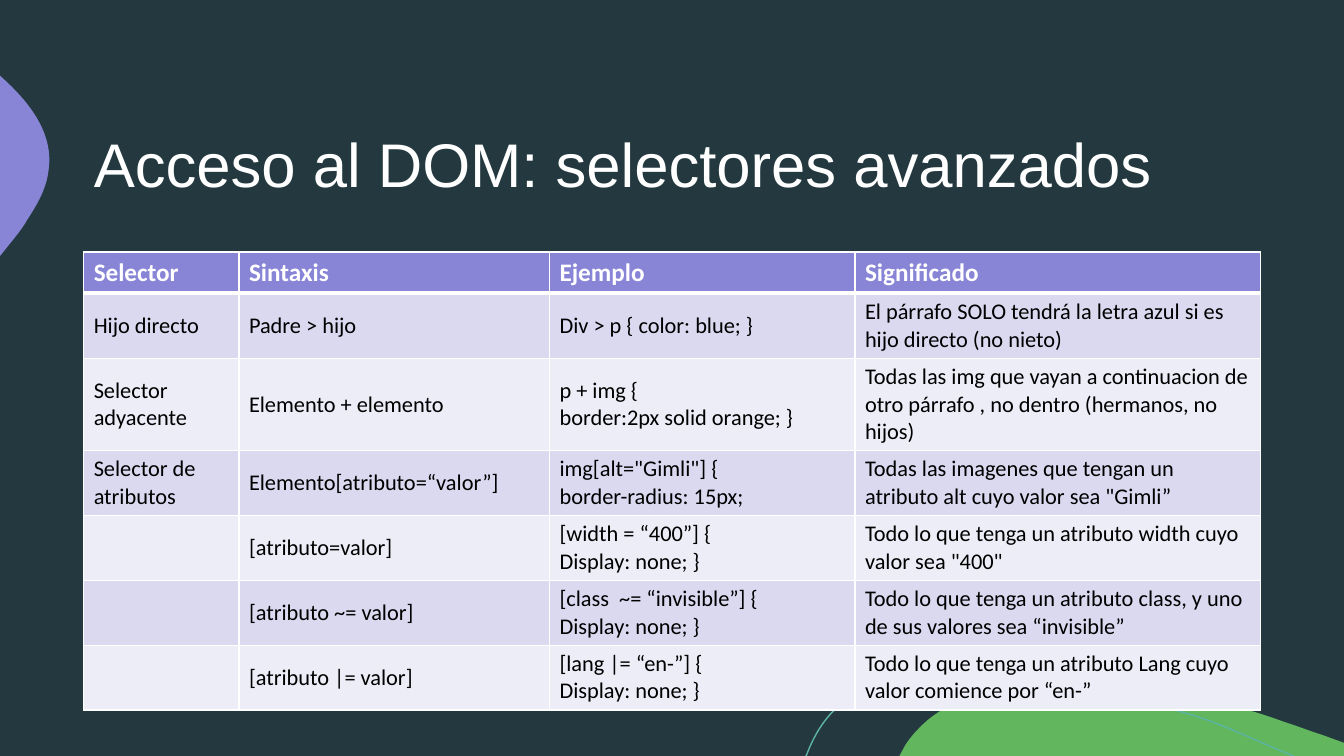
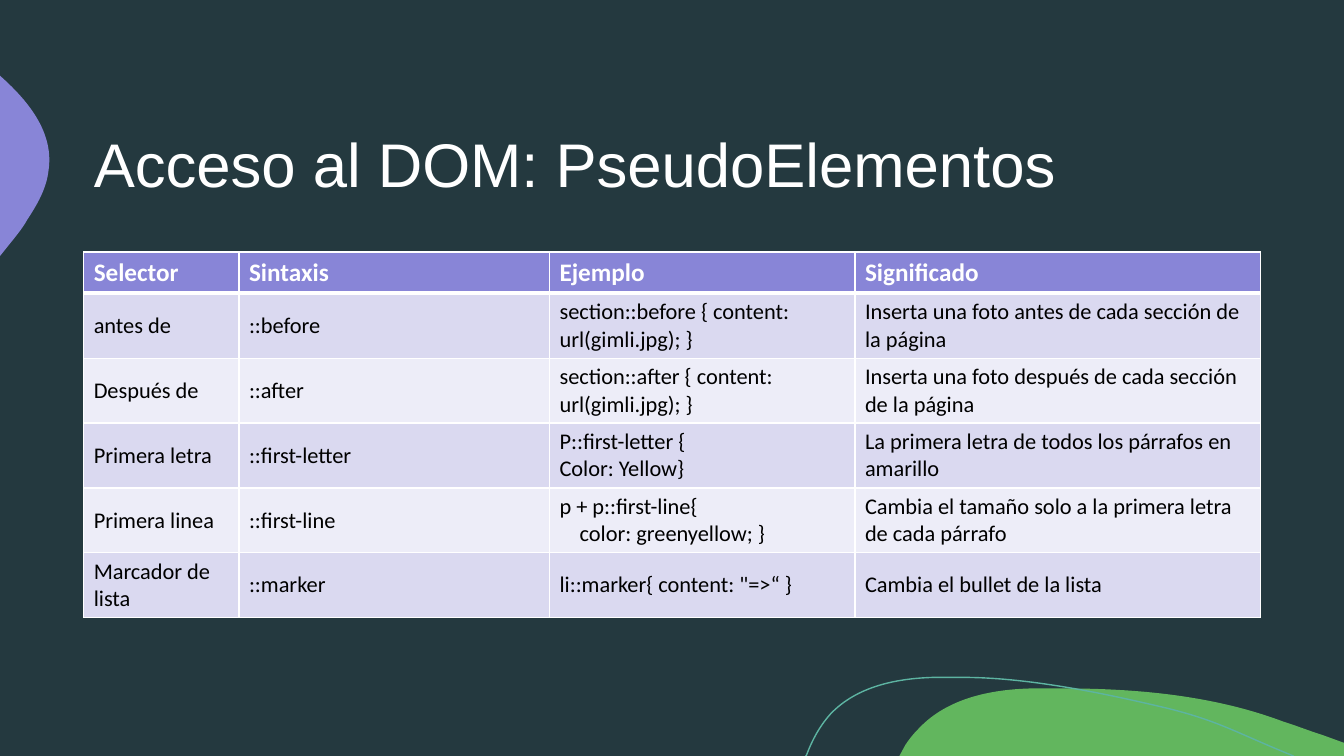
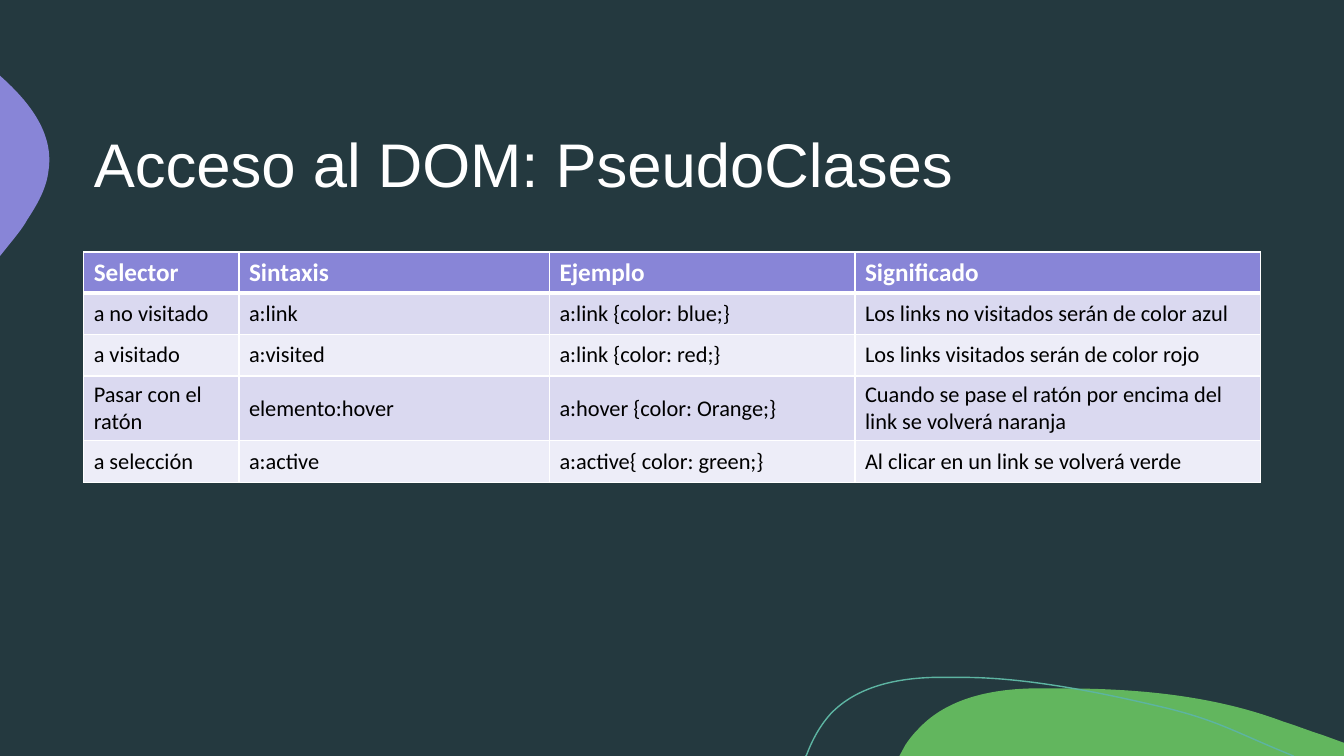
from pptx import Presentation
from pptx.dml.color import RGBColor
from pptx.enum import text as t
from pptx.oxml import parse_xml
from pptx.oxml.ns import nsdecls, qn
from pptx.util import Inches, Pt

BACKGROUND, WHITE, BLACK = "24393F", "FFFFFF", "000000"
PURPLE, GREEN, TEAL = "8885D7", "62B65E", "5DB4A2"
BANDS = ("EDEDF8", "DAD9F0")

MARGIN, CONTENT_WIDTH = 0.83, 11.67
COLUMN_WIDTHS = (1.54, 3.08, 3.03, 4.02)
ROW_HEIGHT = 0.41
CODE_INDENT = 0.2

# Outlines: a start point, then lines (x, y) and cubic curves (six numbers).
GREEN_HILL = [
    (10.54, 6.83), (11.28, 6.83, 12.04, 6.9, 12.73, 7.16),
    (12.86, 7.2, 12.98, 7.25, 13.11, 7.29), (13.33, 7.37), (13.33, 7.5),
    (8.92, 7.5), (8.98, 7.39), (9.02, 7.33, 9.06, 7.28, 9.11, 7.23),
    (9.39, 6.93, 9.82, 6.84, 10.23, 6.83),
    (10.33, 6.83, 10.43, 6.83, 10.54, 6.83),
]
PURPLE_BULGE = [
    (0, 0.75), (0.01, 0.76), (0.3, 1.02, 0.54, 1.33, 0.48, 1.7),
    (0.46, 1.87, 0.37, 2.03, 0.27, 2.18),
    (0.24, 2.24, 0.17, 2.33, 0.08, 2.44), (0, 2.54),
]
TEAL_WAVE = [
    (7.99, 7.5), (8, 7.49), (8.06, 7.33, 8.14, 7.19, 8.24, 7.08),
    (8.5, 6.81, 8.89, 6.73, 9.26, 6.72), (9.55, 6.72),
    (10.22, 6.72, 11, 6.89, 11.55, 7.02),
    (12.09, 7.15, 12.26, 7.27, 12.83, 7.5),
]

HEADINGS = ("Selector", "Sintaxis", "Ejemplo", "Significado")
# A line that begins with a tab is indented.
TOPICS = {
    "Acceso al DOM: selectores avanzados": [
        ("Hijo directo", "Padre > hijo", "Div > p { color: blue; }",
         "El párrafo SOLO tendrá la letra azul si es hijo directo (no nieto)"),
        ("Selector adyacente", "Elemento + elemento",
         "p + img {\nborder:2px solid orange; }",
         "Todas las img que vayan a continuacion de otro párrafo , "
         "no dentro (hermanos, no hijos)"),
        ("Selector de atributos", "Elemento[atributo=“valor”]",
         'img[alt="Gimli"] {\nborder-radius: 15px;',
         'Todas las imagenes que tengan un atributo alt cuyo valor sea "Gimli”'),
        ("", "[atributo=valor]", "[width = “400”] {\nDisplay: none; }",
         'Todo lo que tenga un atributo width cuyo valor sea "400"'),
        ("", "[atributo ~= valor]", "[class  ~= “invisible”] {\nDisplay: none; }",
         "Todo lo que tenga un atributo class, y uno de sus valores sea “invisible”"),
        ("", "[atributo |= valor]", "[lang |= “en-”] {\nDisplay: none; }",
         "Todo lo que tenga un atributo Lang cuyo valor comience por “en-”"),
    ],
    "Acceso al DOM: PseudoElementos": [
        ("antes de", "::before", "section::before { content: url(gimli.jpg); }",
         "Inserta una foto antes de cada sección de la página"),
        ("Después de", "::after", "section::after { content: url(gimli.jpg); }",
         "Inserta una foto después de cada sección de la página"),
        ("Primera letra", "::first-letter", "P::first-letter {\nColor: Yellow}",
         "La primera letra de todos los párrafos en amarillo"),
        ("Primera linea", "::first-line",
         "p + p::first-line{\n\tcolor: greenyellow; }",
         "Cambia el tamaño solo a la primera letra de cada párrafo"),
        ("Marcador de lista", "::marker", 'li::marker{ content: "=>“ }',
         "Cambia el bullet de la lista"),
    ],
    "Acceso al DOM: PseudoClases": [
        ("a no visitado", "a:link", "a:link {color: blue;}",
         "Los links no visitados serán de color azul"),
        ("a visitado", "a:visited", "a:link {color: red;}",
         "Los links visitados serán de color rojo"),
        ("Pasar con el ratón", "elemento:hover", "a:hover {color: Orange;}",
         "Cuando se pase el ratón por encima del link se volverá naranja"),
        ("a selección", "a:active", "a:active{ color: green;}",
         "Al clicar en un link se volverá verde"),
    ],
}


def paint(fill, color):
    fill.solid()
    fill.fore_color.rgb = RGBColor.from_string(color)


def write(frame, content, *, size, color, font="Calibri", bold=False, spacing=None):
    """Fill a text frame, one paragraph for each line of content."""
    for number, line in enumerate(content.split("\n")):
        paragraph = frame.add_paragraph() if number else frame.paragraphs[0]
        paragraph.alignment = t.PP_ALIGN.LEFT
        paragraph.line_spacing = spacing
        if line.startswith("\t"):
            paragraph._p.get_or_add_pPr().set("marL", str(Inches(CODE_INDENT)))
        run = paragraph.add_run()
        run.text = line.lstrip("\t")
        run.font.name, run.font.size, run.font.bold = font, Pt(size), bold
        run.font.color.rgb = RGBColor.from_string(color)


def bend(shape, segments):
    """Turn the straight segments of a freeform into cubic curves where asked."""
    straight = list(shape.element.iter(qn("a:lnTo")))
    for line, segment in zip(straight, segments):
        if len(segment) == 6:
            points = "".join(
                f'<a:pt x="{Inches(x) - shape.left}" y="{Inches(y) - shape.top}"/>'
                for x, y in zip(segment[::2], segment[1::2]))
            line.getparent().replace(line, parse_xml(
                f'<a:cubicBezTo {nsdecls("a")}>{points}</a:cubicBezTo>'))


def add_outline(slide, outline, *, fill=None, line=None):
    start, *ends = [(Inches(s[-2]), Inches(s[-1])) for s in outline]
    builder = slide.shapes.build_freeform(*start)
    builder.add_line_segments(ends, close=fill is not None)
    shape = builder.convert_to_shape()
    bend(shape, outline[1:])
    shape.shadow.inherit = False
    for part, color in ((shape.fill, fill), (shape.line.fill, line)):
        if color:
            paint(part, color)
        else:
            part.background()
    if line:
        shape.line.width = Pt(1)
    return shape


def decorate_layout(layout, slide):
    """Draw the decoration on a slide and move it to the layout all slides share."""
    for placeholder in list(layout.placeholders):
        if placeholder.placeholder_format.idx:
            layout.shapes.element.remove(placeholder.element)
    for shape in (add_outline(slide, GREEN_HILL, fill=GREEN),
                  add_outline(slide, PURPLE_BULGE, fill=PURPLE),
                  add_outline(slide, TEAL_WAVE, line=TEAL)):
        layout.shapes.element.append(shape.element)


def add_title(slide, content):
    title = slide.shapes.title
    title.left, title.top = Inches(MARGIN), Inches(0.83)
    title.width, title.height = Inches(CONTENT_WIDTH), Inches(1.67)
    title.text_frame.word_wrap = True
    title.text_frame.vertical_anchor = t.MSO_ANCHOR.MIDDLE
    write(title.text_frame, content, size=44, color=WHITE, font="Arial", spacing=0.9)


def set_borders(cell, **widths):
    """Give white borders; L, R, T and B are widths in points."""
    properties = cell._tc.get_or_add_tcPr()
    for side, width in widths.items():
        properties.append(parse_xml(
            f'<a:ln{side} {nsdecls("a")} w="{Pt(width)}"><a:solidFill>'
            f'<a:srgbClr val="{WHITE}"/></a:solidFill></a:ln{side}>'))


def add_selector_table(slide, rows):
    rows = [HEADINGS, *rows]
    table = slide.shapes.add_table(
        len(rows), len(HEADINGS), Inches(MARGIN), Inches(2.5),
        Inches(CONTENT_WIDTH), Inches(ROW_HEIGHT * len(rows))).table
    for column, width in zip(table.columns, COLUMN_WIDTHS):
        column.width = Inches(width)
    for r, row in enumerate(rows):
        heading = r == 0
        for c, content in enumerate(row):
            cell = table.cell(r, c)
            set_borders(cell, L=1, R=1, T=3 if r == 1 else 1, B=3 if heading else 1)
            paint(cell.fill, PURPLE if heading else BANDS[r % 2])
            if not heading:
                cell.vertical_anchor = t.MSO_ANCHOR.MIDDLE
            if content:
                write(cell.text_frame, content, size=18 if heading else 16,
                      color=WHITE if heading else BLACK, bold=heading)


def main():
    deck = Presentation()
    deck.slide_width, deck.slide_height = Inches(13.33), Inches(7.5)
    paint(deck.slide_master.background.fill, BACKGROUND)
    layout = deck.slide_layouts.get_by_name("Title Only")
    for number, (title, rows) in enumerate(TOPICS.items()):
        slide = deck.slides.add_slide(layout)
        if number == 0:
            decorate_layout(layout, slide)
        add_title(slide, title)
        add_selector_table(slide, rows)
    deck.save("out.pptx")


if __name__ == "__main__":
    main()
